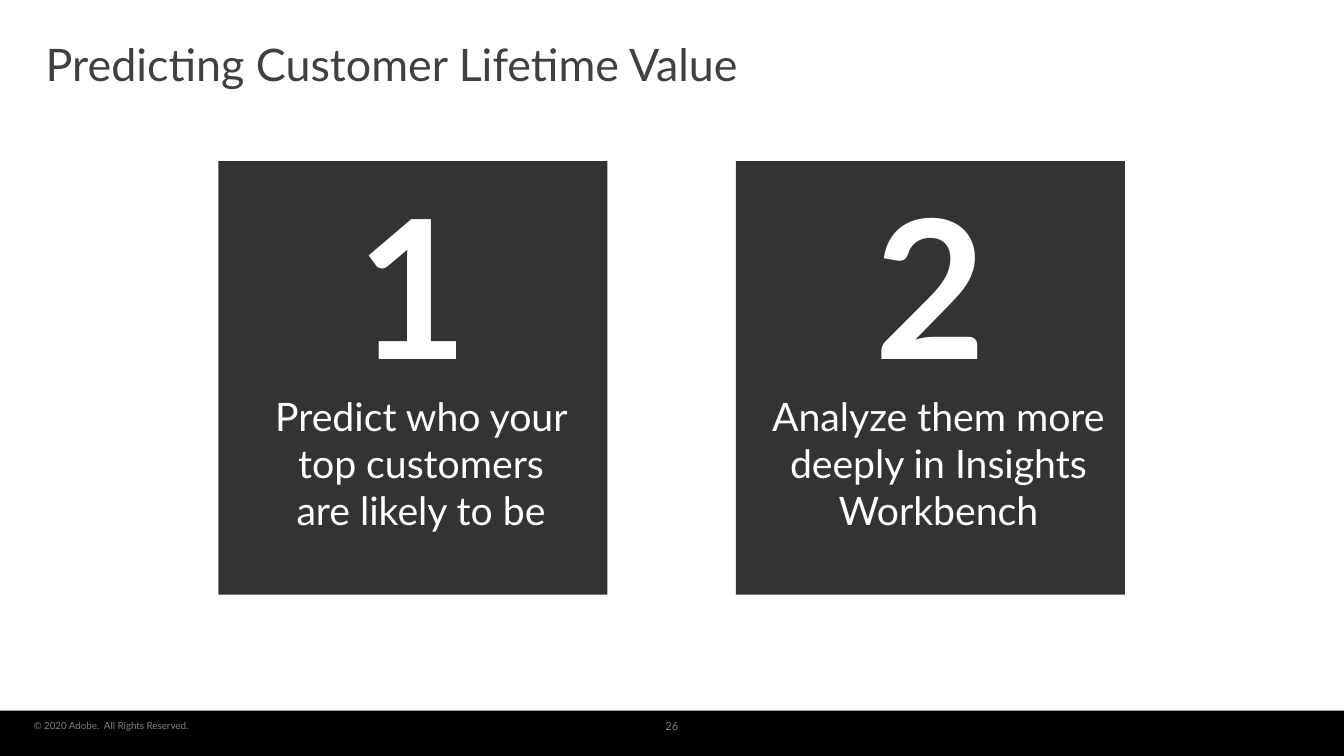
import dataclasses

import lxml.etree
import pptx
import pptx.dml.color
import pptx.enum.shapes
import pptx.enum.text
import pptx.oxml.ns
import pptx.util

ALIGN = pptx.enum.text.PP_ALIGN
ANCHOR = pptx.enum.text.MSO_ANCHOR


@dataclasses.dataclass(frozen=True)
class Theme:
    font: str = "Lato"
    black: str = "000000"
    white: str = "FFFFFF"
    title_gray: str = "404040"
    footer_gray: str = "808080"
    card_opacity: int = 80
    title_size: int = 32
    number_size: int = 138
    caption_size: int = 28
    page_size: int = 8
    copyright_size: int = 7


class SlideBuilder:
    """Places elements on a grid of 40 columns and 75 rows."""

    COLUMNS, ROWS = 40, 75

    def __init__(self, deck, theme):
        self.theme = theme
        self.column = deck.slide_width / self.COLUMNS
        self.row = deck.slide_height / self.ROWS
        self.slide = deck.slides.add_slide(deck.slide_layouts[5])

    def place(self, left, top, width, height):
        return (round(left * self.column), round(top * self.row),
                round(width * self.column), round(height * self.row))

    def fill_text(self, frame, words, size, color, align, anchor, insets, bold=False):
        frame.word_wrap = True
        frame.auto_size = pptx.enum.text.MSO_AUTO_SIZE.NONE
        frame.vertical_anchor = anchor
        (frame.margin_left, frame.margin_top,
         frame.margin_right, frame.margin_bottom) = map(pptx.util.Inches, insets)
        paragraph = frame.paragraphs[0]
        paragraph.alignment = align
        run = paragraph.add_run()
        run.text = words
        run.font.name = self.theme.font
        run.font.size = pptx.util.Pt(size)
        run.font.bold = bold
        run.font.color.rgb = pptx.dml.color.RGBColor.from_string(color)

    def title(self, words, area):
        heading = self.slide.shapes.title
        heading.left, heading.top, heading.width, heading.height = self.place(*area)
        self.fill_text(heading.text_frame, words, self.theme.title_size,
                       self.theme.title_gray, ALIGN.LEFT, ANCHOR.MIDDLE,
                       (0.12, 0.06, 0.12, 0.06))

    def text(self, words, area, size, color, align=ALIGN.CENTER,
             anchor=ANCHOR.TOP, insets=(0.1, 0.05, 0.1, 0.05), bold=False):
        box = self.slide.shapes.add_textbox(*self.place(*area))
        self.fill_text(box.text_frame, words, size, color, align, anchor, insets, bold)

    def panel(self, area, opacity=100):
        panel = self.slide.shapes.add_shape(
            pptx.enum.shapes.MSO_SHAPE.RECTANGLE, *self.place(*area))
        panel.shadow.inherit = False
        panel.line.fill.background()
        panel.fill.solid()
        panel.fill.fore_color.rgb = pptx.dml.color.RGBColor.from_string(self.theme.black)
        if opacity < 100:
            fill = panel.element.spPr.find(pptx.oxml.ns.qn("a:solidFill"))
            alpha = lxml.etree.SubElement(fill[0], pptx.oxml.ns.qn("a:alpha"))
            alpha.set("val", str(opacity * 1000))

    def card(self, left, number, caption, caption_inset):
        width, number_width = 11.58, 4.6
        self.panel((left, 16, width, 43), self.theme.card_opacity)
        self.text(caption,
                  (left + caption_inset, 36.9, width - 2 * caption_inset, 20.2),
                  self.theme.caption_size, self.theme.white,
                  insets=(0.2, 0.2, 0.04, 0.04))
        self.text(str(number),
                  (left + (width - number_width) / 2, 16, number_width, 24.2),
                  self.theme.number_size, self.theme.white, bold=True)


def main():
    deck = pptx.Presentation()
    deck.slide_width = pptx.util.Inches(13.33)
    deck.slide_height = pptx.util.Inches(7.5)
    theme = Theme()
    page = SlideBuilder(deck, theme)

    # Footer band, copyright and page number
    page.panel((0, 70.5, 40, 4.5))
    page.text("© 2020 Adobe.  All Rights Reserved.", (1, 71.4, 17, 1.2),
              theme.copyright_size, theme.footer_gray, ALIGN.LEFT,
              ANCHOR.BOTTOM, (0, 0, 0, 0))
    page.text("26", (18.33, 71.4, 3.33, 1.2), theme.page_size, theme.footer_gray,
              anchor=ANCHOR.MIDDLE, insets=(0.12, 0.06, 0.12, 0.06))

    # Title
    page.title("Predicting Customer Lifetime Value", (1, 3.1, 38, 6.5))

    # Numbered steps
    steps = [("Predict who your top customers are likely to be", 0.88),
             ("Analyze them more deeply in Insights Workbench", 0)]
    for index, (caption, caption_inset) in enumerate(steps):
        page.card(6.5 + 15.4 * index, index + 1, caption, caption_inset)

    deck.save("out.pptx")


if __name__ == "__main__":
    main()
